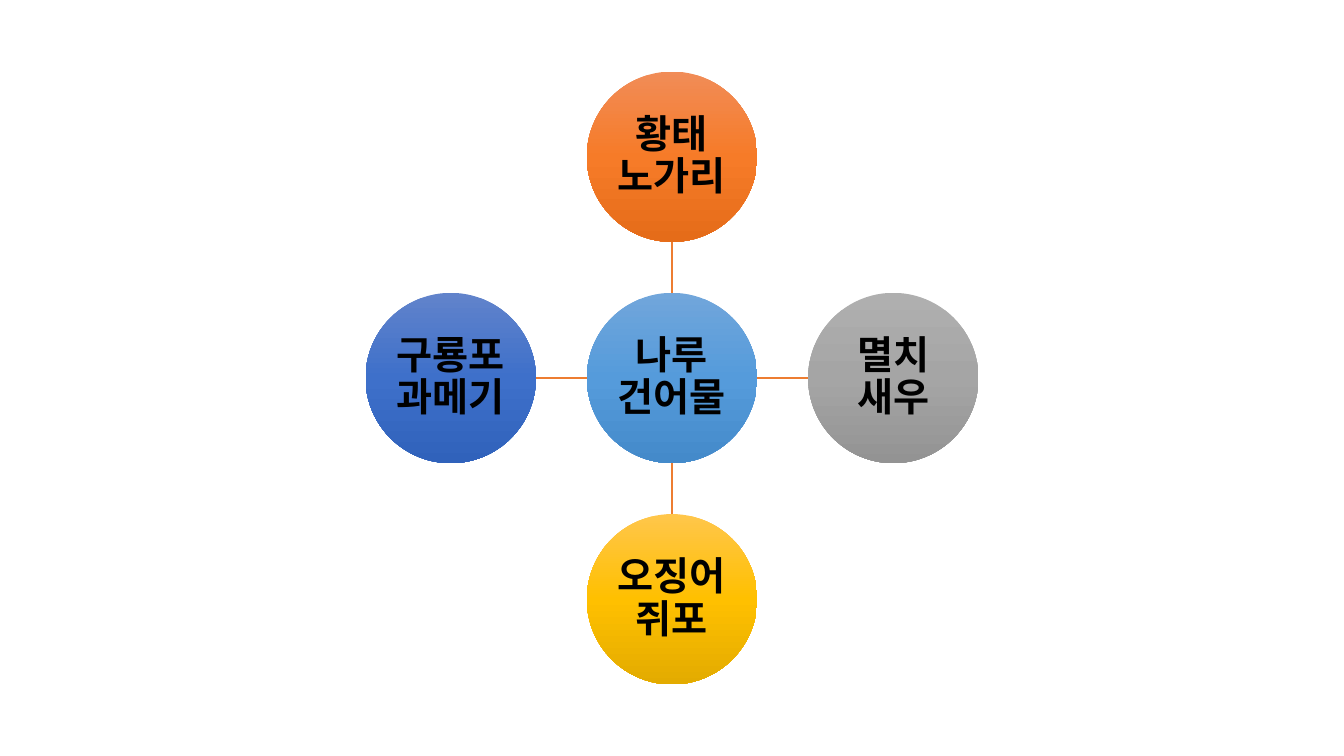
from copy import deepcopy

from lxml import etree
from pptx import Presentation
from pptx.dml.color import RGBColor
from pptx.enum.shapes import MSO_CONNECTOR, MSO_SHAPE
from pptx.enum.text import MSO_ANCHOR, PP_ALIGN
from pptx.oxml.ns import qn
from pptx.util import Inches, Pt

OVAL = MSO_SHAPE.OVAL
STRAIGHT = MSO_CONNECTOR.STRAIGHT
MIDDLE = MSO_ANCHOR.MIDDLE
CENTER = PP_ALIGN.CENTER

FONT = "Noto Sans CJK KR"
DIAMETER = Inches(1.69)
RADIUS = DIAMETER // 2
STEP = Inches(2.195)  # distance between neighbouring circle centres
INSET = Inches(0.02)

# Label, column and row from the hub, gradient from top to bottom
CIRCLES = [
    ("나루 건어물", 0, 0, ("71A6DB", "559BDB", "448ACA")),
    ("황태 노가리", 0, -1, ("F18C57", "F67B28", "E56C19")),
    ("멸치 새우", 1, 0, ("AFAFAF", "A5A5A5", "939393")),
    ("오징어 쥐포", 0, 1, ("FFC64B", "FFC000", "E3AB00")),
    ("구룡포 과메기", -1, 0, ("6183CB", "3E70CA", "3062BB")),
]


def color(value):
    """Turn a hex string into a colour."""
    return RGBColor.from_string(value)


def fill_gradient(shape, values):
    """Fill a shape with three colours running from top to bottom."""
    shape.fill.gradient()
    shape.fill.gradient_angle = 270
    stop_list = shape._element.spPr.find(qn("a:gradFill")).find(qn("a:gsLst"))
    stop_list.append(deepcopy(stop_list[0]))
    for index, (stop, value) in enumerate(zip(shape.fill.gradient_stops, values)):
        stop.position = index / 2
        stop.color.rgb = color(value)


deck = Presentation()
deck.slide_width, deck.slide_height = Inches(13.33), Inches(7.5)
page = deck.slides.add_slide(deck.slide_layouts[6])
hub_x, hub_y = deck.slide_width // 2, deck.slide_height // 2

for label, column, row, gradient in CIRCLES:
    center_x, center_y = hub_x + column * STEP, hub_y + row * STEP

    if column or row:
        spoke = page.shapes.add_connector(
            STRAIGHT,
            hub_x + column * RADIUS, hub_y + row * RADIUS,
            center_x - column * RADIUS, center_y - row * RADIUS,
        )
        spoke.line.color.rgb = color("ED7D31")
        spoke.line.width = Pt(1)
        etree.SubElement(spoke._element.spPr, qn("a:effectLst"))

    circle = page.shapes.add_shape(
        OVAL, center_x - RADIUS, center_y - RADIUS, DIAMETER, DIAMETER)
    circle.shadow.inherit = False
    circle.line.fill.background()
    fill_gradient(circle, gradient)

    frame = circle.text_frame
    frame.word_wrap = True
    frame.vertical_anchor = MIDDLE
    frame.margin_left = frame.margin_right = INSET
    frame.margin_top = frame.margin_bottom = INSET
    frame.text = label
    para = frame.paragraphs[0]
    para.alignment = CENTER
    para.line_spacing = 0.9
    span = para.runs[0]
    span.font.name = FONT
    span.font.size = Pt(28)
    span.font.bold = True
    span.font.color.rgb = color("000000")
    etree.SubElement(span.font._element, qn("a:ea"), typeface=FONT)

deck.save("out.pptx")
